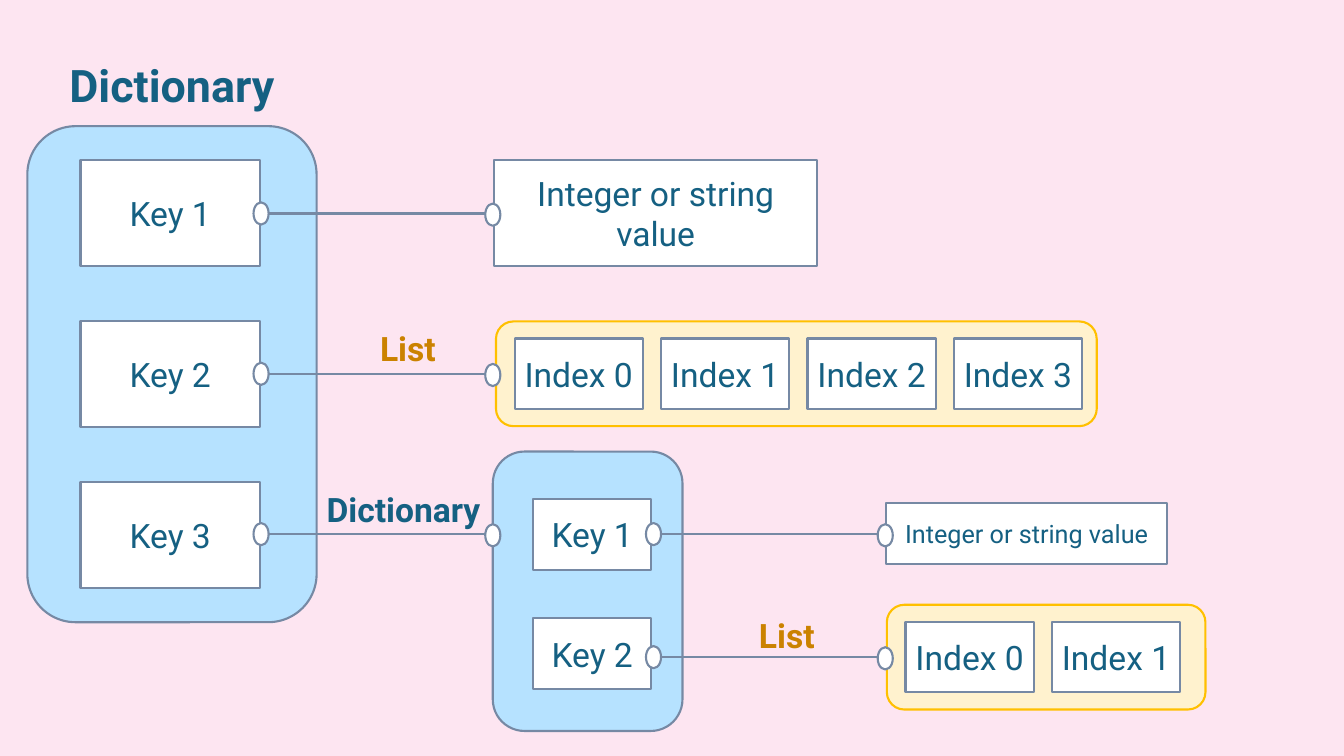
from dataclasses import dataclass

from lxml import etree
from pptx import Presentation
from pptx import util as u
from pptx.dml import color
from pptx.enum import shapes, text
from pptx.oxml import ns


@dataclass(frozen=True)
class Theme:
    font: str = "Roboto"
    back: str = "FDE5F1"
    ink: str = "156082"
    line: str = "7689A4"
    white: str = "FFFFFF"
    blue: str = "B6E2FF"
    cream: str = "FFF2CE"
    gold: str = "FFC000"
    amber: str = "CB8200"
    title: int = 32
    body: int = 24
    small: int = 18
    stroke: float = 1.5


@dataclass(frozen=True)
class Rect:
    left: float
    top: float
    width: float
    height: float


@dataclass(frozen=True)
class Label:
    words: str
    area: Rect
    size: int
    tint: str
    align: text.PP_ALIGN = text.PP_ALIGN.CENTER


@dataclass(frozen=True)
class Row:
    """Equal boxes in a line, spaced by a fixed step."""
    words: list[str]
    first: Rect
    across: float = 0
    down: float = 0


@dataclass(frozen=True)
class Link:
    """Centre of the dot where a link starts."""
    left: float
    top: float


T = Theme()
KIND = shapes.MSO_SHAPE
SPAN = 5.84  # distance between the two dots of a link
DROP = 0.03  # the end dot sits slightly lower
DOT_W, DOT_H = 0.38, 0.56

deck = Presentation()
deck.slide_width, deck.slide_height = u.Cm(33.87), u.Cm(19.05)
slide = deck.slides.add_slide(deck.slide_layouts[6])


def rgb(code: str) -> color.RGBColor:
    return color.RGBColor.from_string(code)


def place(area: Rect) -> tuple[u.Cm, ...]:
    return tuple(map(u.Cm, (area.left, area.top, area.width, area.height)))


def draw(kind: KIND, area: Rect, fill: str = T.white, edge: str = T.line):
    shape = slide.shapes.add_shape(kind, *place(area))
    shape.shadow.inherit = False
    shape.fill.solid()
    shape.fill.fore_color.rgb = rgb(fill)
    shape.line.color.rgb = rgb(edge)
    shape.line.width = u.Pt(T.stroke)
    return shape


def write(shape, words: str, size: int, tint: str = T.ink, bold: bool = False,
          align: text.PP_ALIGN = text.PP_ALIGN.CENTER) -> None:
    shape.text_frame.word_wrap = True
    para = shape.text_frame.paragraphs[0]
    para.alignment = align
    run = para.add_run()
    run.text = words
    run.font.name, run.font.size, run.font.bold = T.font, u.Pt(size), bold
    run.font.color.rgb = rgb(tint)


def box(words: str, area: Rect, size: int = T.body) -> None:
    shape = draw(KIND.RECTANGLE, area)
    frame = shape.text_frame
    frame.vertical_anchor = text.MSO_ANCHOR.MIDDLE
    frame.margin_left = frame.margin_right = u.Cm(0.1)
    write(shape, words, size)


def fill_row(row: Row) -> None:
    first = row.first
    for i, words in enumerate(row.words):
        box(words, Rect(first.left + i * row.across, first.top + i * row.down,
                        first.width, first.height))


def label(item: Label) -> None:
    shape = slide.shapes.add_textbox(*place(item.area))
    write(shape, item.words, item.size, item.tint, True, item.align)


def dot(left: float, top: float) -> None:
    draw(KIND.OVAL, Rect(left - DOT_W / 2, top - DOT_H / 2, DOT_W, DOT_H))


def join(link: Link) -> None:
    """Draw a line between a start dot and an end dot."""
    start, end = link.left + DOT_W / 2, link.left + SPAN - 0.1
    wire = slide.shapes.add_connector(
        shapes.MSO_CONNECTOR.STRAIGHT,
        u.Cm(start), u.Cm(link.top), u.Cm(end), u.Cm(link.top))
    wire.line.color.rgb = rgb(T.line)
    wire.line.width = u.Pt(T.stroke)
    etree.SubElement(wire._element.spPr, ns.qn("a:effectLst"))
    dot(link.left, link.top)
    dot(link.left + SPAN, link.top + DROP)


DICTS = [Rect(0.69, 3.18, 7.29, 12.5), Rect(12.42, 11.38, 4.78, 7.04)]
LISTS = [Rect(12.5, 8.1, 15.14, 2.64), Rect(22.35, 15.24, 8.03, 2.64)]
ROWS = [
    Row([f"Key {n}" for n in (1, 2, 3)], Rect(2.03, 4.04, 4.52, 2.67), down=4.05),
    Row([f"Key {n}" for n in (1, 2)], Rect(13.44, 12.57, 2.97, 1.8), down=3),
] + [
    Row([f"Index {n}" for n in range(count)],
        Rect(area.left + 0.47, area.top + 0.43, 3.23, 1.78), across=3.69)
    for area, count in zip(LISTS, (4, 2))
]
LINKS = [Link(6.58, 5.38 + i * 4.04) for i in range(3)]
LINKS += [Link(16.47, top) for top in (13.46, 16.56)]
LABELS = [
    Label("Dictionary", Rect(0.69, 1.32, 7.29, 1.75), T.title, T.ink),
    Label("List", Rect(7.98, 8.13, 4.6, 1.27), T.body, T.amber),
    Label("List", Rect(17.2, 15.37, 5.26, 1.27), T.body, T.amber),
    Label("Dictionary", Rect(7.98, 12.19, 15.01, 1.4), T.body, T.ink,
          text.PP_ALIGN.LEFT),
]


def main() -> None:
    slide.background.fill.solid()
    slide.background.fill.fore_color.rgb = rgb(T.back)
    for area in DICTS:
        draw(KIND.ROUNDED_RECTANGLE, area, T.blue)
    for area in LISTS:
        draw(KIND.ROUNDED_RECTANGLE, area, T.cream, T.gold)
    for row in ROWS:
        fill_row(row)
    box("Integer or string value", Rect(12.45, 4.04, 8.15, 2.67))
    box("Integer or string value", Rect(22.33, 12.67, 7.09, 1.55), T.small)
    for link in LINKS:
        join(link)
    for item in LABELS:
        label(item)
    deck.save("out.pptx")


if __name__ == "__main__":
    main()
